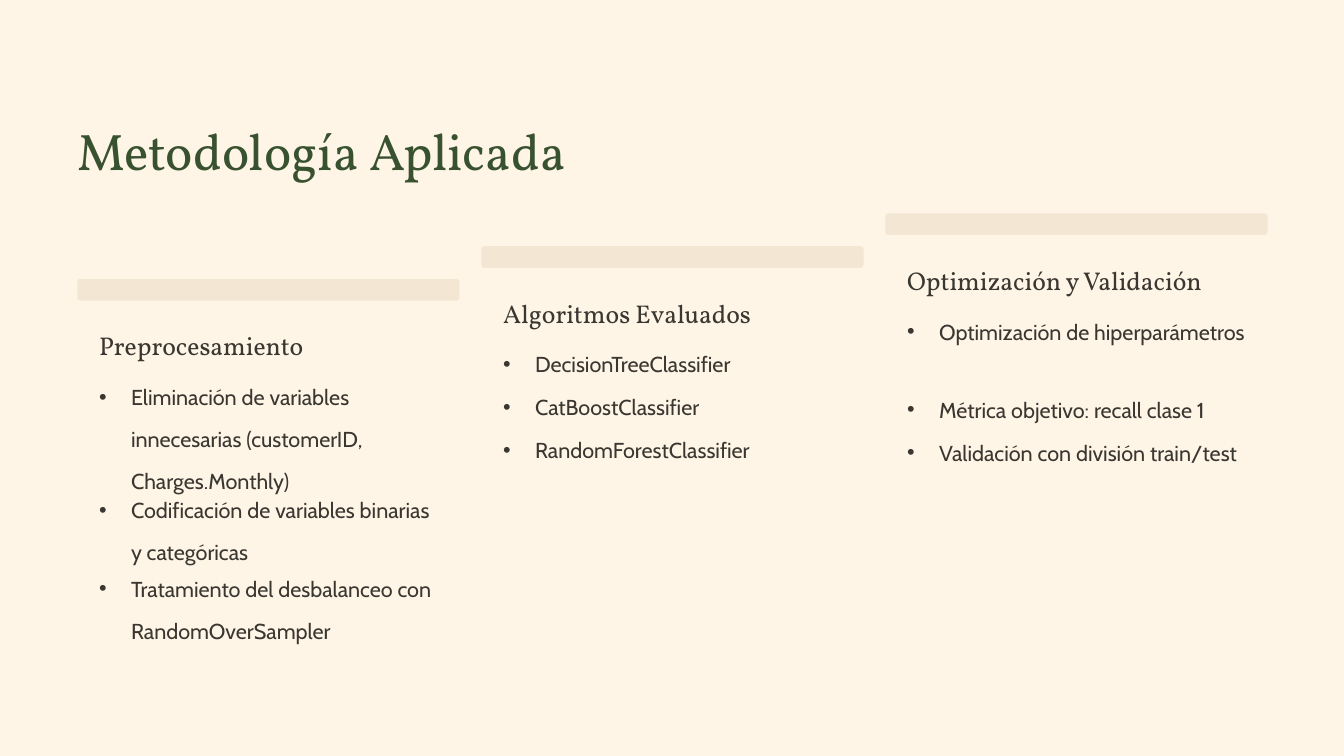
from lxml import etree
from pptx import Presentation
from pptx.dml.color import RGBColor
from pptx.enum import shapes, text
from pptx.oxml.ns import qn
from pptx.util import Inches, Pt

COLORS = {"background": "FEF5E7", "bar": "F3E7D4", "title": "38512F", "body": "3A3630"}
FORMATS = {
    "title": {"name": "Vollkorn", "size": Pt(44)},
    "heading": {"name": "Vollkorn", "size": Pt(22)},
    "bullet": {"name": "Cabin", "size": Pt(18.5)},
}
FRAME = {
    "margin_left": 0, "margin_top": 0, "margin_right": 0, "margin_bottom": 0,
    "word_wrap": True, "auto_size": text.MSO_AUTO_SIZE.NONE,
    "vertical_anchor": text.MSO_ANCHOR.TOP,
}
LEFT, FIRST_TOP = 0.92, 3.32
COLUMN_PITCH, COLUMN_RISE = 4.81, 0.39
INSET, LINE_HEIGHT, ITEM_GAP = 0.26, 0.42, 0.09

# Each column: heading, heading width, (item, number of lines reserved)
COLUMNS = [
    ("Preprocesamiento", 3.08, [
        ("Eliminación de variables innecesarias (customerID, Charges.Monthly)", 3),
        ("Codificación de variables binarias y categóricas", 2),
        ("Tratamiento del desbalanceo con RandomOverSampler", 2)]),
    ("Algoritmos Evaluados", 3.08, [
        ("DecisionTreeClassifier", 1),
        ("CatBoostClassifier", 1),
        ("RandomForestClassifier", 1)]),
    ("Optimización y Validación", 3.74, [
        ("Optimización de hiperparámetros", 2),
        ("Métrica objetivo: recall clase 1", 1),
        ("Validación con división train/test", 1)]),
]


def color(name):
    return RGBColor.from_string(COLORS[name])


def apply(target, values):
    for attribute, value in values.items():
        setattr(target, attribute, value)


class MethodologySlide:
    def __init__(self, presentation):
        self.slide = presentation.slides.add_slide(presentation.slide_layouts[5])
        fill = self.slide.background.fill
        fill.solid()
        fill.fore_color.rgb = color("background")

    def set_text(self, frame, wording, style, ink="body", spacing=1.25, bulleted=False):
        apply(frame, FRAME)
        paragraph = frame.paragraphs[0]
        paragraph.text = wording
        apply(paragraph, {"alignment": text.PP_ALIGN.LEFT, "line_spacing": spacing})
        if bulleted:
            self.add_bullet(paragraph)
        apply(paragraph.font, FORMATS[style])
        paragraph.font.color.rgb = color(ink)

    def add_bullet(self, paragraph):
        properties = paragraph._p.get_or_add_pPr()
        properties.set("marL", str(Inches(0.38)))
        properties.set("indent", str(Inches(-0.38)))
        bullet_color = etree.SubElement(properties, qn("a:buClr"))
        etree.SubElement(bullet_color, qn("a:srgbClr"), val=COLORS["body"])
        etree.SubElement(properties, qn("a:buFont"), typeface="Arial")
        etree.SubElement(properties, qn("a:buChar"), char="•")

    def title(self, wording, left, top, width, height):
        title = self.slide.shapes.title
        apply(title, {"left": Inches(left), "top": Inches(top),
                      "width": Inches(width), "height": Inches(height)})
        self.set_text(title.text_frame, wording, "title", "title")

    def bar(self, left, top):
        bar = self.slide.shapes.add_shape(
            shapes.MSO_SHAPE.ROUNDED_RECTANGLE,
            Inches(left), Inches(top), Inches(4.55), Inches(0.26))
        bar.adjustments[0] = 0.15
        bar.shadow.inherit = False
        bar.fill.solid()
        bar.fill.fore_color.rgb = color("bar")
        bar.line.fill.background()

    def label(self, wording, left, top, width, height, style, **options):
        box = self.slide.shapes.add_textbox(
            Inches(left), Inches(top), Inches(width), Inches(height))
        self.set_text(box.text_frame, wording, style, **options)

    def column(self, left, top, heading, heading_width, items):
        self.bar(left, top)
        left += INSET
        self.label(heading, left, top + 0.52, heading_width, 0.38, "heading")
        item_top = top + 1.06
        for item, lines in items:
            height = lines * LINE_HEIGHT
            self.label(item, left, item_top, 4.02, height, "bullet",
                       spacing=1.62, bulleted=True)
            item_top += height + ITEM_GAP


def main():
    presentation = Presentation()
    apply(presentation, {"slide_width": Inches(16), "slide_height": Inches(9)})
    methodology = MethodologySlide(presentation)
    methodology.title("Metodología Aplicada", LEFT, 1.24, 6.18, 0.77)
    for index, column in enumerate(COLUMNS):
        methodology.column(LEFT + index * COLUMN_PITCH,
                           FIRST_TOP - index * COLUMN_RISE, *column)
    presentation.save("out.pptx")


if __name__ == "__main__":
    main()
